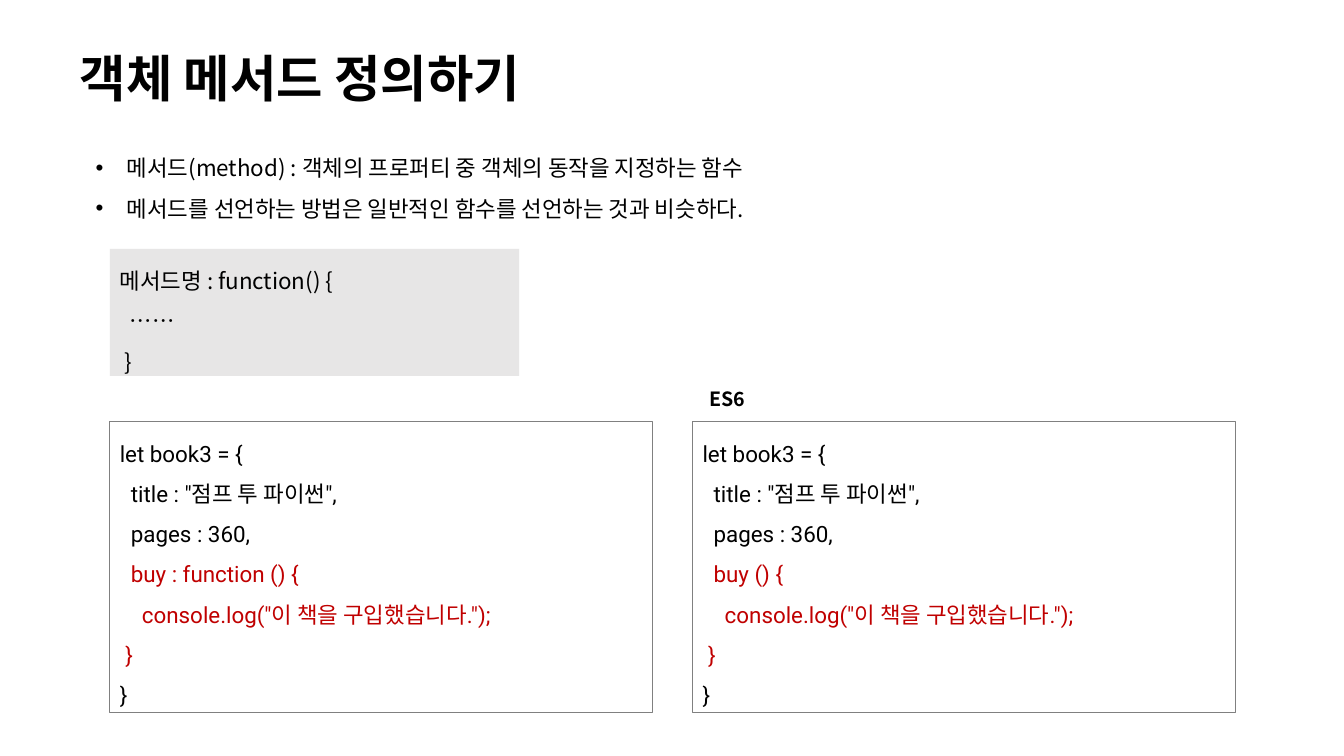
from pptx import Presentation
from pptx.dml.color import RGBColor
from pptx.enum.shapes import MSO_SHAPE
from pptx.enum.text import MSO_ANCHOR, MSO_AUTO_SIZE, PP_ALIGN
from pptx.oxml.ns import qn
from pptx.util import Inches, Pt
from lxml import etree

BLACK = RGBColor(0x00, 0x00, 0x00)
RED = RGBColor(0xC0, 0x00, 0x00)
GRAY = RGBColor(0x80, 0x80, 0x80)
LIGHT_GRAY = RGBColor(0xE7, 0xE6, 0xE6)
KOREAN_FONT = "Noto Sans CJK KR"
CODE_FONT = "Roboto"

INTRO = [
    "메서드(method) : 객체의 프로퍼티 중 객체의 동작을 지정하는 함수",
    "메서드를 선언하는 방법은 일반적인 함수를 선언하는 것과 비슷하다.",
]
SYNTAX = ["메서드명 : function() {", "  ……", " }"]


def add_bullet(paragraph):
    properties = paragraph._p.get_or_add_pPr()
    properties.set("marL", str(Inches(0.31)))
    properties.set("indent", str(-Inches(0.31)))
    etree.SubElement(properties, qn("a:buFont")).set("typeface", "Arial")
    etree.SubElement(properties, qn("a:buChar")).set("char", "•")


def write_text(text_frame, lines, size=16, font=KOREAN_FONT, bold=False, spacing=1.5,
               anchor=MSO_ANCHOR.TOP, bullets=False, red_lines=()):
    text_frame.word_wrap = True
    text_frame.auto_size = MSO_AUTO_SIZE.NONE
    text_frame.vertical_anchor = anchor
    for index, line in enumerate(lines):
        paragraph = text_frame.paragraphs[0] if index == 0 else text_frame.add_paragraph()
        if bullets:
            add_bullet(paragraph)
        paragraph.alignment = PP_ALIGN.LEFT
        paragraph.line_spacing = spacing
        run = paragraph.add_run()
        run.text = line
        run.font.size = Pt(size)
        run.font.name = font
        run.font.bold = bold
        run.font.color.rgb = RED if index in red_lines else BLACK
        # Hangul always uses the Korean face
        east_asian = etree.SubElement(run._r.get_or_add_rPr(), qn("a:ea"))
        east_asian.set("typeface", KOREAN_FONT)


def add_title(slide, box, text):
    title = slide.shapes.title
    title.left, title.top, title.width, title.height = map(Inches, box)
    write_text(title.text_frame, [text], size=36, bold=True, spacing=0.9,
               anchor=MSO_ANCHOR.MIDDLE)


def add_text(slide, box, lines, **text_format):
    text_box = slide.shapes.add_textbox(*map(Inches, box))
    write_text(text_box.text_frame, lines, **text_format)


def add_panel(slide, box, lines, fill=None, line=None, **text_format):
    panel = slide.shapes.add_shape(MSO_SHAPE.RECTANGLE, *map(Inches, box))
    panel.shadow.inherit = False
    if fill is None:
        panel.fill.background()
    else:
        panel.fill.solid()
        panel.fill.fore_color.rgb = fill
    if line is None:
        panel.line.fill.background()
    else:
        panel.line.color.rgb = line
        panel.line.width = Pt(0.75)
    write_text(panel.text_frame, lines, **text_format)


def add_book_code(slide, box, method_head, heading=None):
    left, top, width, height = box
    lines = [
        "let book3 = {",
        '  title : "점프 투 파이썬",',
        "  pages : 360,",
        f"  {method_head} {{",
        '    console.log("이 책을 구입했습니다.");',
        " }",
        "}",
    ]
    add_panel(slide, box, lines, line=GRAY, font=CODE_FONT, red_lines=(3, 4, 5))
    if heading:
        add_text(slide, (left + 0.07, top - 0.39, 1.71, 0.34), [heading],
                 size=14, bold=True, spacing=1.0)


def main():
    presentation = Presentation()
    presentation.slide_width = Inches(13.33)
    presentation.slide_height = Inches(7.5)
    slide = presentation.slides.add_slide(presentation.slide_layouts[5])

    # Title and introduction
    add_title(slide, (0.69, 0.35, 9.74, 0.92), "객체 메서드 정의하기")
    add_text(slide, (0.85, 1.35, 7.8, 0.86), INTRO, bullets=True)

    # General syntax
    add_panel(slide, (1.09, 2.47, 4.06, 1.26), SYNTAX, fill=LIGHT_GRAY)

    # The same object in both notations
    notations = [("buy : function ()", None), ("buy ()", "ES6")]
    for column, (method_head, heading) in enumerate(notations):
        box = (1.09 + column * 5.78, 4.18, 5.38, 2.89)
        add_book_code(slide, box, method_head, heading)

    presentation.save("out.pptx")


if __name__ == "__main__":
    main()
